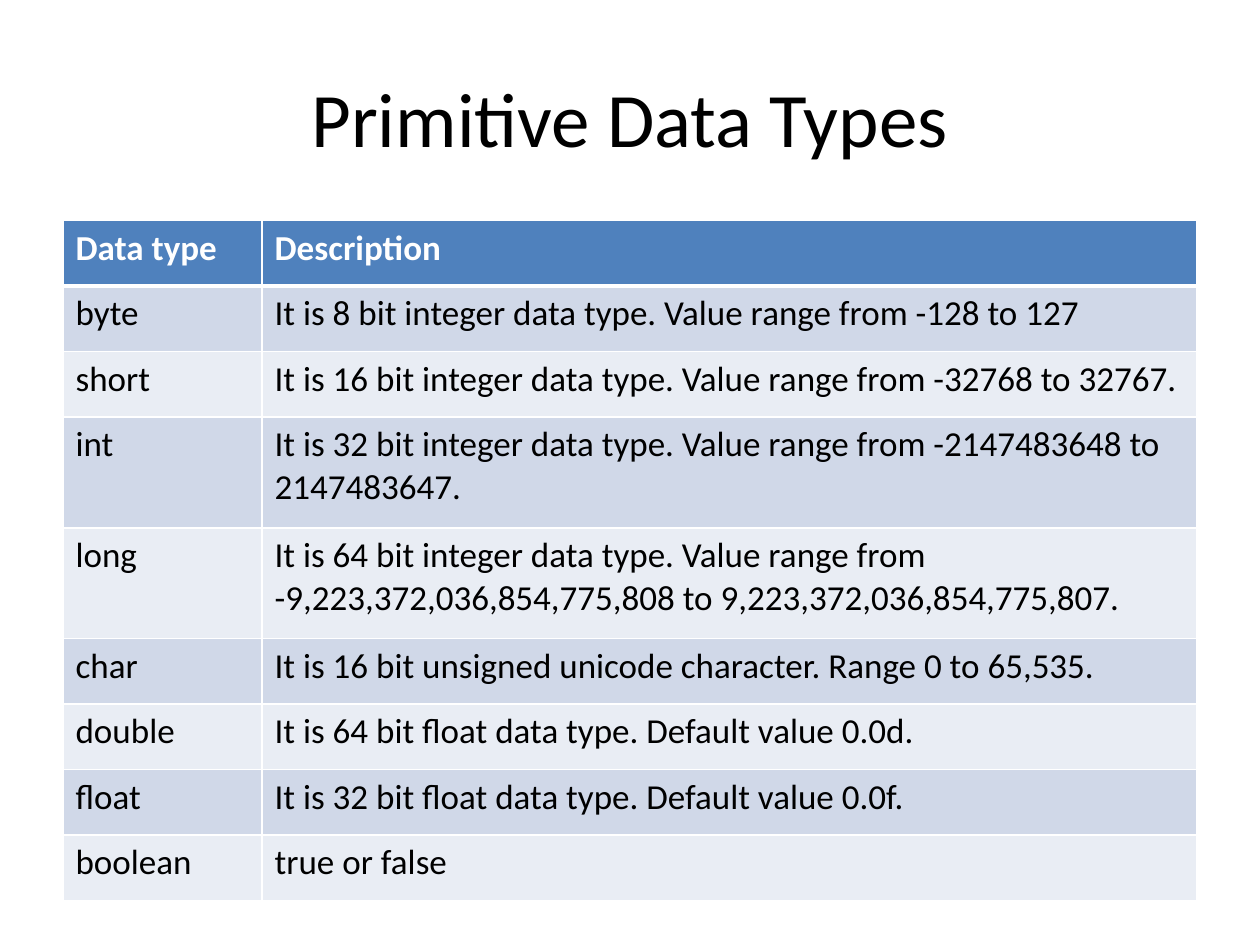
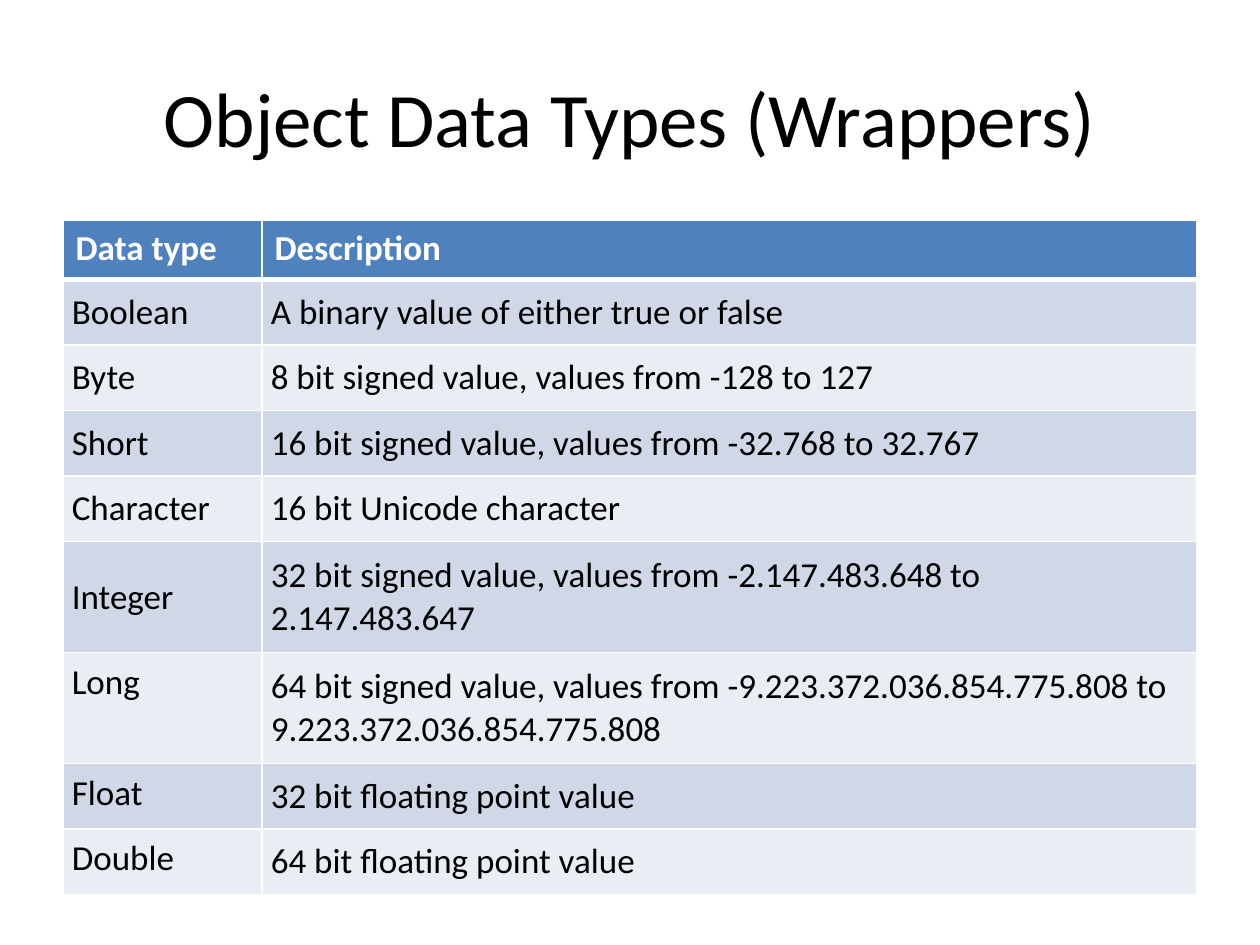
from lxml import etree
from pptx import Presentation
from pptx.dml.color import RGBColor
from pptx.enum.text import MSO_ANCHOR, PP_ALIGN
from pptx.oxml.ns import qn
from pptx.util import Inches, Pt

MIDDLE, TOP = MSO_ANCHOR.MIDDLE, MSO_ANCHOR.TOP
CENTER = PP_ALIGN.CENTER

WHITE, BLACK = "FFFFFF", "000000"
HEAD = "4F81BD"
BANDS = ["E9EDF4", "D0D8E8"]
LEFT, WIDTH = 0.5, 9
COLS = [1.58, 7.42]
TALL, ROW = 0.88, 0.52
SIDES = ["margin_left", "margin_right", "margin_top", "margin_bottom"]
WIDE = dict(zip(SIDES, [0.1, 0.1, 0.05, 0.05]))
EVEN = dict.fromkeys(SIDES, 0.07)
FONTS = {
    "title": {"name": "Calibri", "size": Pt(44), "bold": False},
    "head": {"name": "Calibri", "size": Pt(20), "bold": True},
    "body": {"name": "Calibri", "size": Pt(20), "bold": False},
}

PAGES = [
    {
        "title": "Primitive Data Types",
        "head": 0.52,
        "tall": ["int", "long"],
        "inset": WIDE,
        "anchor": TOP,
        "top": [],
        "rows": [
            ("byte", "It is 8 bit integer data type. Value range from -128 to 127"),
            ("short", "It is 16 bit integer data type. Value range from -32768 to 32767."),
            ("int", "It is 32 bit integer data type. Value range from -2147483648 to 2147483647."),
            ("long", "It is 64 bit integer data type. Value range from "
                     "-9,223,372,036,854,775,808 to 9,223,372,036,854,775,807."),
            ("char", "It is 16 bit unsigned unicode character. Range 0 to 65,535."),
            ("double", "It is 64 bit float data type. Default value 0.0d."),
            ("float", "It is 32 bit float data type. Default value 0.0f."),
            ("boolean", "true or false"),
        ],
    },
    {
        "title": "Object Data Types (Wrappers)",
        "head": 0.47,
        "tall": ["Integer", "Long"],
        "inset": EVEN,
        "anchor": MIDDLE,
        "top": ["Long", "Float", "Double"],
        "rows": [
            ("Boolean", "A binary value of either true or false"),
            ("Byte", "8 bit signed value, values from -128 to 127"),
            ("Short", "16 bit signed value, values from -32.768 to 32.767"),
            ("Character", "16 bit Unicode character"),
            ("Integer", "32 bit signed value, values from -2.147.483.648 to 2.147.483.647"),
            ("Long", "64 bit signed value, values from "
                     "-9.223.372.036.854.775.808 to 9.223.372.036.854.775.808"),
            ("Float", "32 bit floating point value"),
            ("Double", "64 bit floating point value"),
        ],
    },
]


def style(para, kind, color):
    for key, value in FONTS[kind].items():
        setattr(para.font, key, value)
    para.font.color.rgb = RGBColor.from_string(color)


def border(cell, widths):
    props = cell._tc.get_or_add_tcPr()
    for side, width in widths.items():
        line = etree.SubElement(props, qn("a:ln" + side), w=str(Pt(width)))
        fill = etree.SubElement(line, qn("a:solidFill"))
        etree.SubElement(fill, qn("a:srgbClr"), val=WHITE)


prs = Presentation()
prs.slide_width, prs.slide_height = Inches(10), Inches(7.5)

for page in PAGES:
    slide = prs.slides.add_slide(prs.slide_layouts[5])
    title = slide.shapes.title
    place = {"left": LEFT, "top": 0.3, "width": WIDTH, "height": 1.25}
    for key, value in place.items():
        setattr(title, key, Inches(value))
    title.text_frame.text = page["title"]
    title.text_frame.vertical_anchor = MIDDLE
    para = title.text_frame.paragraphs[0]
    para.alignment = CENTER
    style(para, "title", BLACK)

    rows = [("Data type", "Description")] + page["rows"]
    highs = [page["head"]] + [TALL if name in page["tall"] else ROW for name, _ in page["rows"]]
    frame = slide.shapes.add_table(len(rows), len(COLS), Inches(LEFT), Inches(1.75),
                                   Inches(WIDTH), Inches(sum(highs)))
    table = frame.table
    for col, width in zip(table.columns, COLS):
        col.width = Inches(width)

    for r, row in enumerate(rows):
        table.rows[r].height = Inches(highs[r])
        for c, text in enumerate(row):
            cell = table.cell(r, c)
            cell.text = text
            inset = page["inset"] if r else WIDE
            for side, value in inset.items():
                setattr(cell, side, Inches(value))
            raised = r == 0 or (c == 0 and text in page["top"])
            cell.vertical_anchor = TOP if raised else page["anchor"]
            border(cell, {"L": 1, "R": 1, "T": 3 if r == 1 else 1, "B": 1 if r else 3})
            cell.fill.solid()
            cell.fill.fore_color.rgb = RGBColor.from_string(BANDS[r % 2] if r else HEAD)
            style(cell.text_frame.paragraphs[0], "body" if r else "head", BLACK if r else WHITE)

prs.save("out.pptx")
